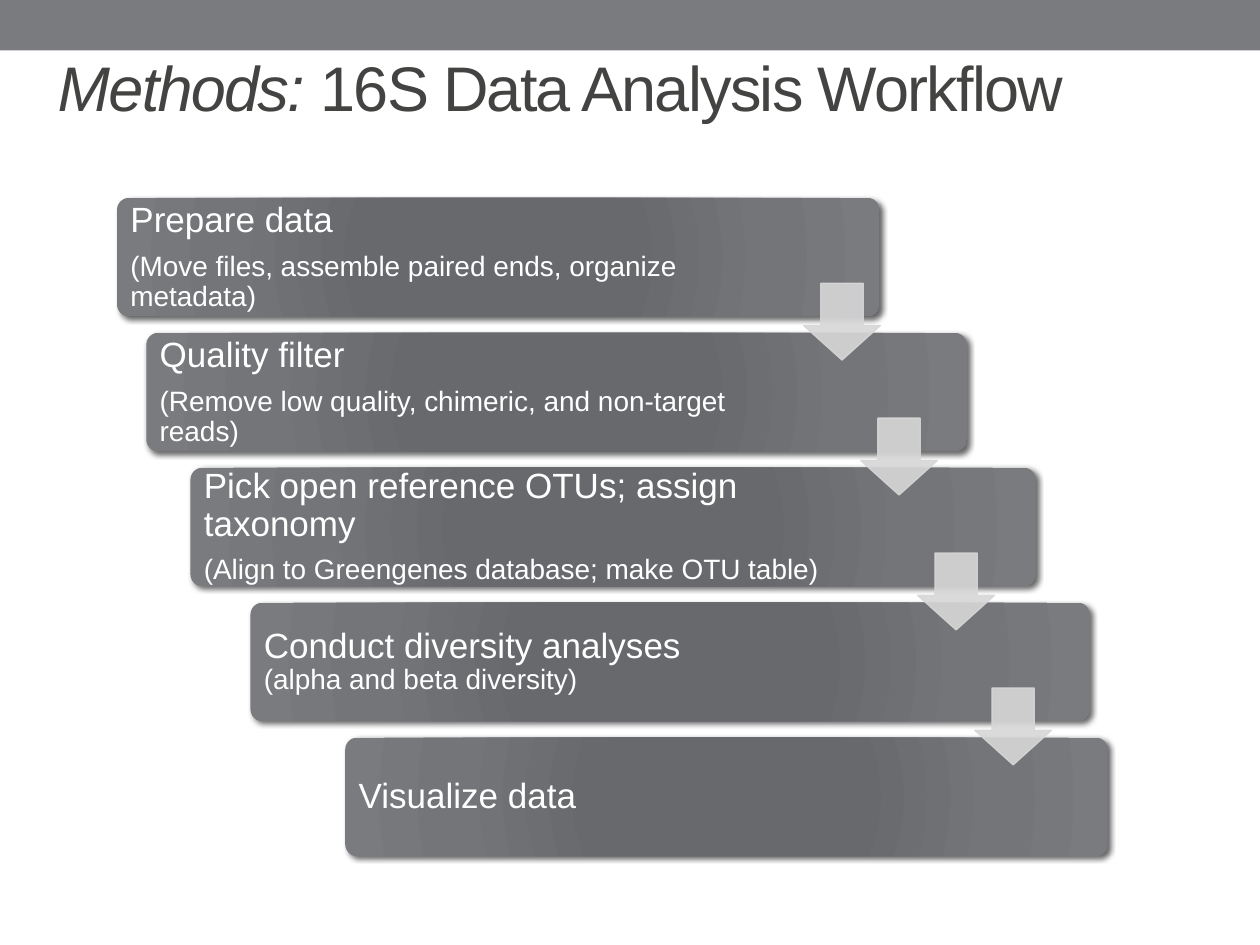
"""Build the 16S data analysis workflow slide."""
from lxml import etree
from pptx import Presentation
from pptx.dml.color import RGBColor
from pptx.enum.shapes import MSO_SHAPE
from pptx.enum.text import MSO_ANCHOR, MSO_AUTO_SIZE, PP_ALIGN
from pptx.oxml import parse_xml
from pptx.oxml.ns import nsdecls, qn
from pptx.util import Cm, Pt

RECT = MSO_SHAPE.RECTANGLE
ROUND = MSO_SHAPE.ROUNDED_RECTANGLE
DOWN = MSO_SHAPE.DOWN_ARROW
MIDDLE = MSO_ANCHOR.MIDDLE
FIXED = MSO_AUTO_SIZE.NONE
LEFT = PP_ALIGN.LEFT

GRAY = RGBColor(0x79, 0x7B, 0x7E)
MID = RGBColor(0x73, 0x75, 0x79)
DARK = RGBColor(0x67, 0x69, 0x6D)
PALE = RGBColor(0xD7, 0xD7, 0xD8)
INK = RGBColor(0x43, 0x43, 0x42)
WHITE = RGBColor(0xFF, 0xFF, 0xFF)

STOPS = ((0, DARK), (34, DARK), (70, MID), (100, GRAY))
HEAD, NOTE = 20, 16
TOP, PITCH, HIGH = 3.99, 2.72, 2.39
STEPS = (
    (2.36, 15.37, 12.52, (
        (("Prepare data", HEAD),),
        (("(Move files, assemble paired ends, organize metadata)", NOTE),))),
    (2.95, 16.54, 13.49, (
        (("Quality filter", HEAD),),
        (("(Remove low quality, chimeric, and non-target reads)", NOTE),))),
    (3.84, 17.04, 13.89, (
        (("Pick open reference OTUs; assign taxonomy", HEAD),),
        (("(Align to Greengenes database; make OTU table)", NOTE),))),
    (5.05, 16.92, 13.82, (
        (("Conduct diversity analyses", HEAD),
         ("(alpha and beta diversity)", NOTE)),)),
    (6.96, 15.37, 12.55, (
        (("Visualize data", HEAD),),)),
)


class Deck:
    """Hold the style and the current slide."""

    def __init__(self, font):
        self.font = font
        self.prs = Presentation()
        self.prs.slide_width, self.prs.slide_height = Cm(25.4), Cm(19.05)
        self.slide = self.prs.slides.add_slide(self.prs.slide_layouts[5])

    def style(self, para, size, color):
        """Set the font of a paragraph."""
        para.alignment = LEFT
        para.font.name = self.font
        para.font.size = Pt(size)
        para.font.color.rgb = color

    def shape(self, kind, box):
        """Add a plain preset shape."""
        shape = self.slide.shapes.add_shape(kind, *map(Cm, box))
        shape.shadow.inherit = False
        shape.line.fill.background()
        return shape

    def band(self, box):
        """Add the header band behind the title."""
        band = self.shape(RECT, box)
        band.fill.solid()
        band.fill.fore_color.rgb = GRAY
        self.slide.shapes._spTree.insert(2, band._element)

    def title(self, box, lead, rest):
        """Place the title with an italic lead."""
        title = self.slide.shapes.title
        title.left, title.top, title.width, title.height = map(Cm, box)
        frame = title.text_frame
        frame.auto_size = FIXED
        frame.vertical_anchor = MIDDLE
        para = frame.paragraphs[0]
        for text, slant in ((lead, True), (rest, False)):
            run = para.add_run()
            run.text = text
            run.font.italic = slant
            run._r.get_or_add_rPr().set("spc", "-100")
        self.style(para, 36, INK)

    def bar(self, box):
        """Add a rounded bar with a radial gradient and a shadow."""
        bar = self.shape(ROUND, box)
        bar.adjustments[0] = 0.1
        stops = "".join(
            f'<a:gs pos="{pos * 1000}"><a:srgbClr val="{color}"/></a:gs>'
            for pos, color in STOPS)
        props = bar._element.spPr
        props.find(qn("a:prstGeom")).addnext(parse_xml(
            f'<a:gradFill {nsdecls("a")} rotWithShape="1">'
            f'<a:gsLst>{stops}</a:gsLst><a:path path="circle">'
            '<a:fillToRect l="100000" t="100000" r="100000" b="100000"/>'
            '</a:path></a:gradFill>'))
        props.find(qn("a:effectLst")).append(parse_xml(
            f'<a:outerShdw {nsdecls("a")} blurRad="38100" dist="25400" '
            'dir="2700000" rotWithShape="0"><a:srgbClr val="000000">'
            '<a:alpha val="60000"/></a:srgbClr></a:outerShdw>'))

    def text(self, box, paras):
        """Add a text box with one or more paragraphs."""
        frame = self.slide.shapes.add_textbox(*map(Cm, box)).text_frame
        frame.word_wrap = True
        frame.auto_size = FIXED
        frame.vertical_anchor = MIDDLE
        frame.margin_left = frame.margin_right = Cm(0.2)
        frame.margin_top = frame.margin_bottom = Cm(0.2)
        for i, runs in enumerate(paras):
            para = frame.add_paragraph() if i else frame.paragraphs[0]
            for j, (text, size) in enumerate(runs):
                if j:
                    para.add_line_break()
                run = para.add_run()
                run.text = text
                if len(runs) > 1:
                    run.font.size = Pt(size)
            first = runs[0][1]
            para.line_spacing = 0.9
            para.space_after = Pt(0.35 * first)
            self.style(para, first, WHITE)

    def arrow(self, box):
        """Add a slightly clear down arrow."""
        arrow = self.shape(DOWN, box)
        arrow.adjustments[0] = 0.55
        arrow.adjustments[1] = 0.45
        arrow.line.width = Pt(0.75)
        for fill in (arrow.fill, arrow.line.fill):
            fill.solid()
            fill.fore_color.rgb = PALE
        for color in arrow._element.spPr.iter(qn("a:srgbClr")):
            etree.SubElement(color, qn("a:alpha")).set("val", "90000")


def main():
    """Draw the slide and save it."""
    deck = Deck("Arial")
    deck.band((0, 0, 25.4, 1.02))
    deck.title((0.91, 0.15, 22.86, 3.18),
               "Methods: ", "16S Data Analysis Workflow")
    for i, (left, wide, room, paras) in enumerate(STEPS):
        top = TOP + i * PITCH
        deck.bar((left, top, wide, HIGH))
        deck.text((left + 0.07, top + 0.07, room, 2.25), paras)
    for i in range(len(STEPS) - 1):
        deck.arrow((16.2 + i * 1.15, 5.71 + i * PITCH, 1.55, 1.55))
    deck.prs.save("out.pptx")


if __name__ == "__main__":
    main()
